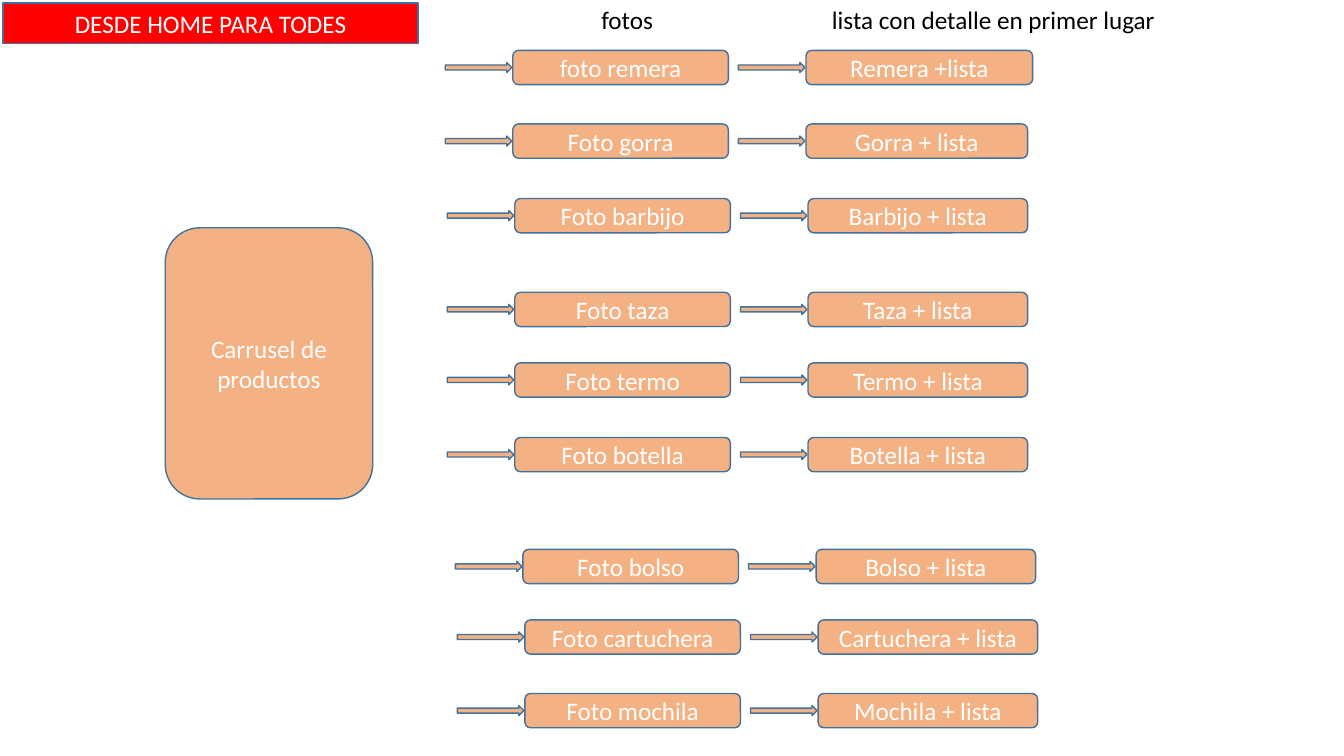
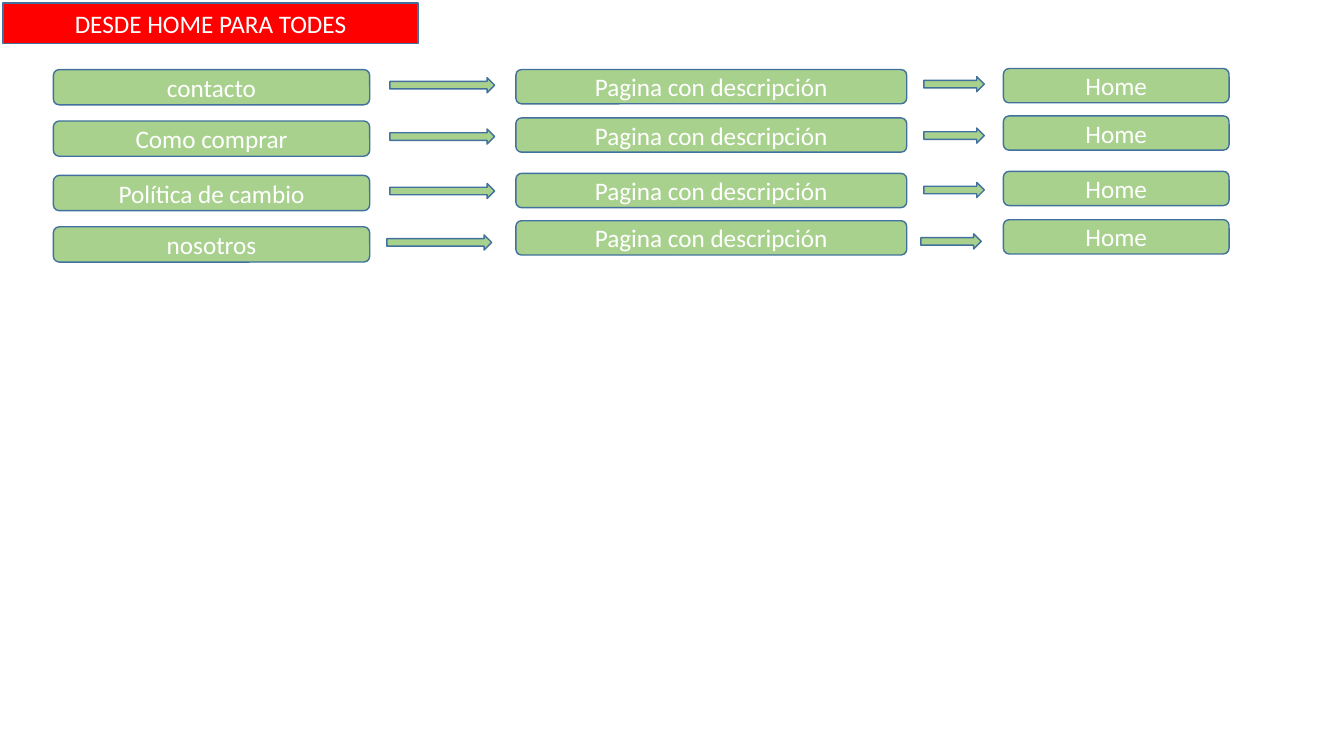
from dataclasses import dataclass

import lxml.etree
import pptx
import pptx.dml.color
import pptx.enum.shapes
import pptx.enum.text
import pptx.oxml.ns
import pptx.shapes.autoshape
import pptx.slide
import pptx.util

Inches = pptx.util.Inches
SHAPES = pptx.enum.shapes.MSO_SHAPE
ALIGN = pptx.enum.text.PP_ALIGN
ANCHOR = pptx.enum.text.MSO_ANCHOR
COLORS = {
    "banner": "FF0000",
    "product": "F4B183",
    "page": "A9D18E",
    "line": "41719C",
    "light": "FFFFFF",
    "dark": "000000",
}
FONT = "Calibri"
TEXT_SIZE = 18
BANNER = "DESDE HOME PARA TODES"
BOX_H = 0.34


@dataclass
class Product:
    photo: str
    listing: str
    left: float
    top: float
    listing_w: float = 2.18


@dataclass
class Page:
    name: str
    top: float
    detail_top: float
    home_top: float
    arrow_shift: float = 0


@dataclass
class Label:
    text: str
    left: float
    width: float


PRODUCTS = [
    Product("foto remera", "Remera +lista", 5.09, 0.5, 2.25),
    Product("Foto gorra", "Gorra + lista", 5.09, 1.23, 2.2),
    Product("Foto barbijo", "Barbijo + lista", 5.11, 1.97),
    Product("Foto taza", "Taza + lista", 5.11, 2.9),
    Product("Foto termo", "Termo + lista", 5.11, 3.6),
    Product("Foto botella", "Botella + lista", 5.11, 4.34),
    Product("Foto bolso", "Bolso + lista", 5.19, 5.45),
    Product("Foto cartuchera", "Cartuchera + lista", 5.21, 6.15),
    Product("Foto mochila", "Mochila + lista", 5.21, 6.88),
]
PAGES = [
    Page("contacto", 0.69, 0.69, 0.68),
    Page("Como comprar", 1.2, 1.17, 1.15),
    Page("Política de cambio", 1.74, 1.72, 1.7),
    Page("nosotros", 2.25, 2.19, 2.18, -0.03),
]
LABELS = [
    Label("fotos", 5.87, 1.81),
    Label("lista con detalle en primer lugar", 8.16, 3.94),
]


def rgb(name: str) -> pptx.dml.color.RGBColor:
    return pptx.dml.color.RGBColor.from_string(COLORS[name])


def paint(sp: pptx.shapes.autoshape.Shape, fill: str) -> None:
    sp.fill.solid()
    sp.fill.fore_color.rgb = rgb(fill)
    sp.line.color.rgb = rgb("line")
    sp.line.width = pptx.util.Pt(1)
    sp.shadow.inherit = False


def write(sp: pptx.shapes.autoshape.Shape, text: str, color: str, align: ALIGN, anchor: ANCHOR) -> None:
    tf = sp.text_frame
    tf.word_wrap = True
    tf.auto_size = pptx.enum.text.MSO_AUTO_SIZE.NONE
    tf.vertical_anchor = anchor
    p = tf.paragraphs[0]
    p.text = text
    p.alignment = align
    p.font.name = FONT
    p.font.size = pptx.util.Pt(TEXT_SIZE)
    p.font.color.rgb = rgb(color)


def add_box(s: pptx.slide.Slide, text: str, left: float, top: float, width: float, height: float, fill: str) -> None:
    sp = s.shapes.add_shape(
        SHAPES.ROUNDED_RECTANGLE, Inches(left), Inches(top), Inches(width), Inches(height)
    )
    paint(sp, fill)
    write(sp, text, "light", ALIGN.CENTER, ANCHOR.MIDDLE)


def add_arrow(s: pptx.slide.Slide, left: float, top: float, width: float, height: float, fill: str) -> None:
    sp = s.shapes.add_shape(
        SHAPES.RIGHT_ARROW, Inches(left), Inches(top), Inches(width), Inches(height)
    )
    paint(sp, fill)


def add_label(s: pptx.slide.Slide, label: Label) -> None:
    sp = s.shapes.add_textbox(Inches(label.left), Inches(-0.01), Inches(label.width), Inches(0.4))
    write(sp, label.text, "dark", ALIGN.LEFT, ANCHOR.TOP)


def add_slide(prs: pptx.presentation.Presentation) -> pptx.slide.Slide:
    s = prs.slides.add_slide(prs.slide_layouts[5])
    sp = s.shapes.title
    sp.left, sp.top, sp.width, sp.height = (Inches(v) for v in (0.03, 0.03, 4.12, 0.4))
    qn = pptx.oxml.ns.qn
    geom = lxml.etree.SubElement(sp._element.spPr, qn("a:prstGeom"), prst="roundRect")
    lxml.etree.SubElement(geom, qn("a:avLst"))
    paint(sp, "banner")
    write(sp, BANNER, "light", ALIGN.CENTER, ANCHOR.MIDDLE)
    return s


def build_products(prs: pptx.presentation.Presentation) -> None:
    s = add_slide(prs)
    for label in LABELS:
        add_label(s, label)
    add_box(s, "Carrusel de productos", 1.64, 2.26, 2.06, 2.69, "product")
    for row in PRODUCTS:
        cells = [(row.photo, row.left, 2.14), (row.listing, row.left + 2.91, row.listing_w)]
        for text, left, width in cells:
            add_arrow(s, left - 0.67, row.top + 0.12, 0.66, 0.1, "product")
            add_box(s, text, left, row.top, width, BOX_H, "product")


def build_pages(prs: pptx.presentation.Presentation) -> None:
    s = add_slide(prs)
    for row in PAGES:
        add_box(s, row.name, 0.53, row.top, 3.14, 0.35, "page")
        add_arrow(s, 3.87 + row.arrow_shift, row.top + 0.08, 1.04, 0.15, "page")
        add_box(s, "Pagina con descripción", 5.12, row.detail_top, 3.88, BOX_H, "page")
        add_arrow(s, 9.17 + row.arrow_shift, row.top + 0.07, 0.6, 0.15, "page")
        add_box(s, "Home", 9.96, row.home_top, 2.24, BOX_H, "page")


def main() -> None:
    prs = pptx.Presentation()
    prs.slide_width = Inches(13.34)
    prs.slide_height = Inches(7.5)
    build_products(prs)
    build_pages(prs)
    prs.save("out.pptx")


if __name__ == "__main__":
    main()
